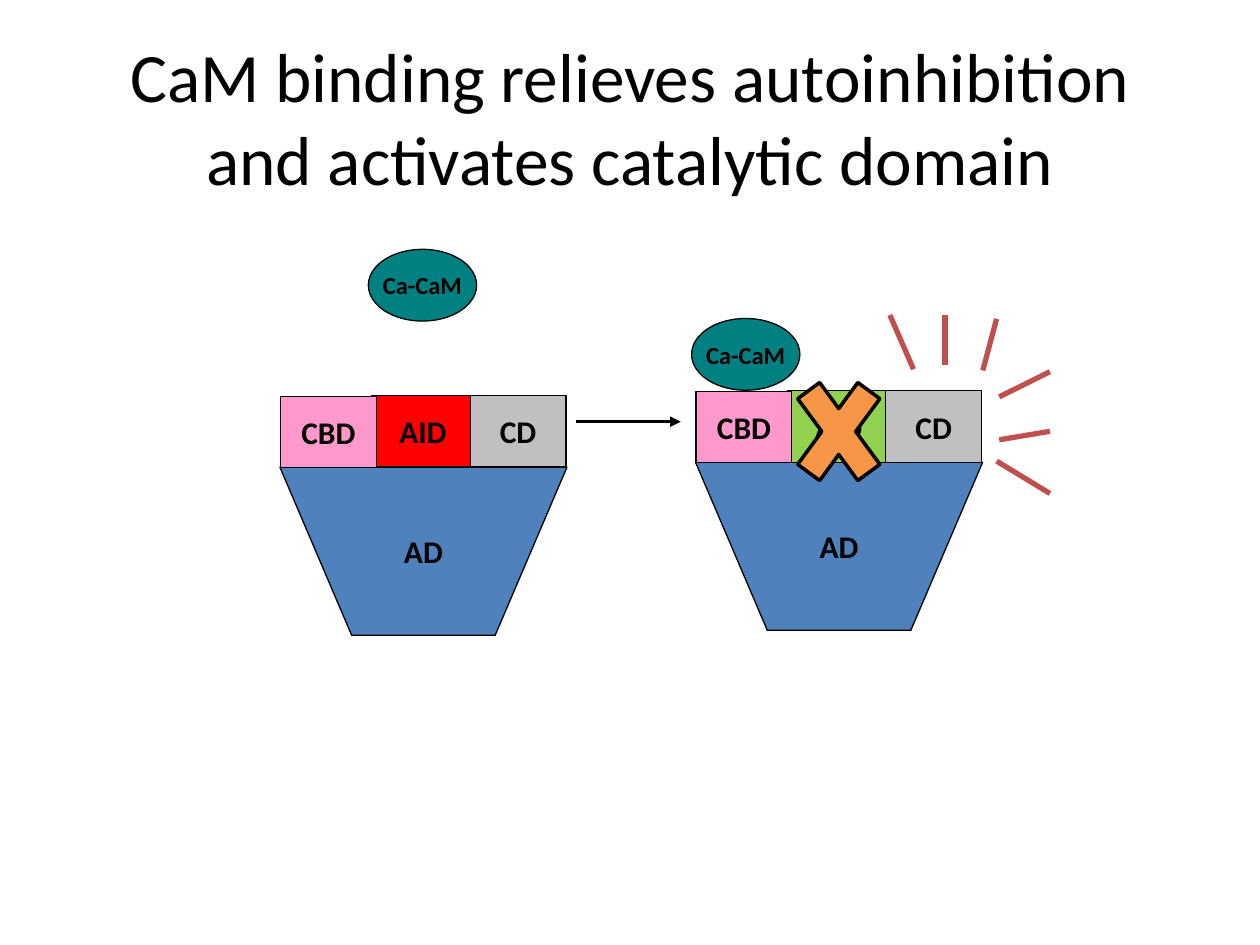
from lxml.etree import SubElement
from pptx import Presentation
from pptx.dml.color import RGBColor
from pptx.enum.shapes import MSO_CONNECTOR, MSO_SHAPE
from pptx.enum.text import MSO_ANCHOR, PP_ALIGN
from pptx.oxml.ns import qn
from pptx.util import Pt

COLORS = {
    "black": "000000", "teal": "008080", "blue": "4F81BD", "red": "FF0000",
    "green": "92D050", "gray": "C0C0C0", "pink": "FF99CC",
    "orange": "F79646", "ray": "C0504D",
}


class Deck:
    """Holds the style and the current slide, and draws its elements."""

    font = "Calibri"

    def __init__(self, prs):
        self.s = prs.slides.add_slide(prs.slide_layouts[6])

    def color(self, name):
        return RGBColor.from_string(COLORS[name])

    def label(self, sp, text, size, bold=True, wrap=False):
        tf = sp.text_frame
        tf.word_wrap = wrap
        tf.vertical_anchor = MSO_ANCHOR.MIDDLE
        p = tf.paragraphs[0]
        p.alignment = PP_ALIGN.CENTER
        r = p.add_run()
        r.text = text
        r.font.name = self.font
        r.font.size = Pt(size)
        r.font.bold = bold
        r.font.color.rgb = self.color("black")

    def paint(self, sp, fill, width=0.75):
        sp.shadow.inherit = False
        sp.fill.solid()
        sp.fill.fore_color.rgb = self.color(fill)
        sp.line.color.rgb = self.color("black")
        sp.line.width = Pt(width)

    def title(self, text, x, y, w, h):
        sp = self.s.shapes.add_textbox(Pt(x), Pt(y), Pt(w), Pt(h))
        self.label(sp, text, 39.6, bold=False, wrap=True)

    def shape(self, kind, x, y, w, h, fill, text="", size=18, width=0.75):
        sp = self.s.shapes.add_shape(kind, Pt(x), Pt(y), Pt(w), Pt(h))
        self.paint(sp, fill, width)
        if text:
            self.label(sp, text, size)

    def polygon(self, points, fill, text):
        start, *rest = [(Pt(x), Pt(y)) for x, y in points]
        builder = self.s.shapes.build_freeform(*start)
        builder.add_line_segments(rest, close=True)
        sp = builder.convert_to_shape()
        self.paint(sp, fill)
        self.label(sp, text, 18)

    def line(self, x1, y1, x2, y2, color, width, arrow=False):
        sp = self.s.shapes.add_connector(
            MSO_CONNECTOR.STRAIGHT, Pt(x1), Pt(y1), Pt(x2), Pt(y2))
        sp.line.color.rgb = self.color(color)
        sp.line.width = Pt(width)
        if arrow:
            ln = sp.line._get_or_add_ln()
            SubElement(ln, qn("a:tailEnd"), type="triangle")
        SubElement(sp._element.spPr, qn("a:effectLst"))

    def calmodulin(self, x, y):
        self.shape(MSO_SHAPE.OVAL, x, y, 61.9, 41, "teal", "Ca-CaM", 14)

    def protein(self, x, y, aid_fill):
        self.polygon([(x, y), (x + 41, y + 96), (x + 123, y + 96), (x + 164, y)],
                     "blue", "AD")
        for dx, w, h, fill, text in [
            (52.5, 58.3, 41, aid_fill, "AID"),
            (108.7, 54.7, 41, "gray", "CD"),
            (0.3, 54.7, 40.4, "pink", "CBD"),
        ]:
            self.shape(MSO_SHAPE.RECTANGLE, x + dx, y - h, w, h, fill, text)


def main():
    prs = Presentation()
    prs.slide_width, prs.slide_height = Pt(720), Pt(540)
    deck = Deck(prs)
    deck.title("CaM binding relieves autoinhibition and activates catalytic domain",
               36, 21.6, 648, 90)
    deck.calmodulin(210.5, 142.5)
    deck.line(329, 241, 389, 241, "black", 2, arrow=True)
    deck.calmodulin(395.2, 182)
    deck.protein(160, 267, "red")
    deck.protein(397.5, 264.2, "green")
    deck.shape(MSO_SHAPE.MATH_MULTIPLY, 446.2, 201.6, 66.2, 90, "orange", width=2)
    for ray in [
        (561.6, 211.7, 569.5, 182.2),
        (571, 226.8, 600, 212.4),
        (571, 251.3, 600, 246.5),
        (569.5, 263.5, 600, 282),
        (540, 208.8, 540, 180),
        (522, 211, 508.5, 180),
    ]:
        deck.line(*ray, "ray", 3)
    prs.save("out.pptx")


if __name__ == "__main__":
    main()
